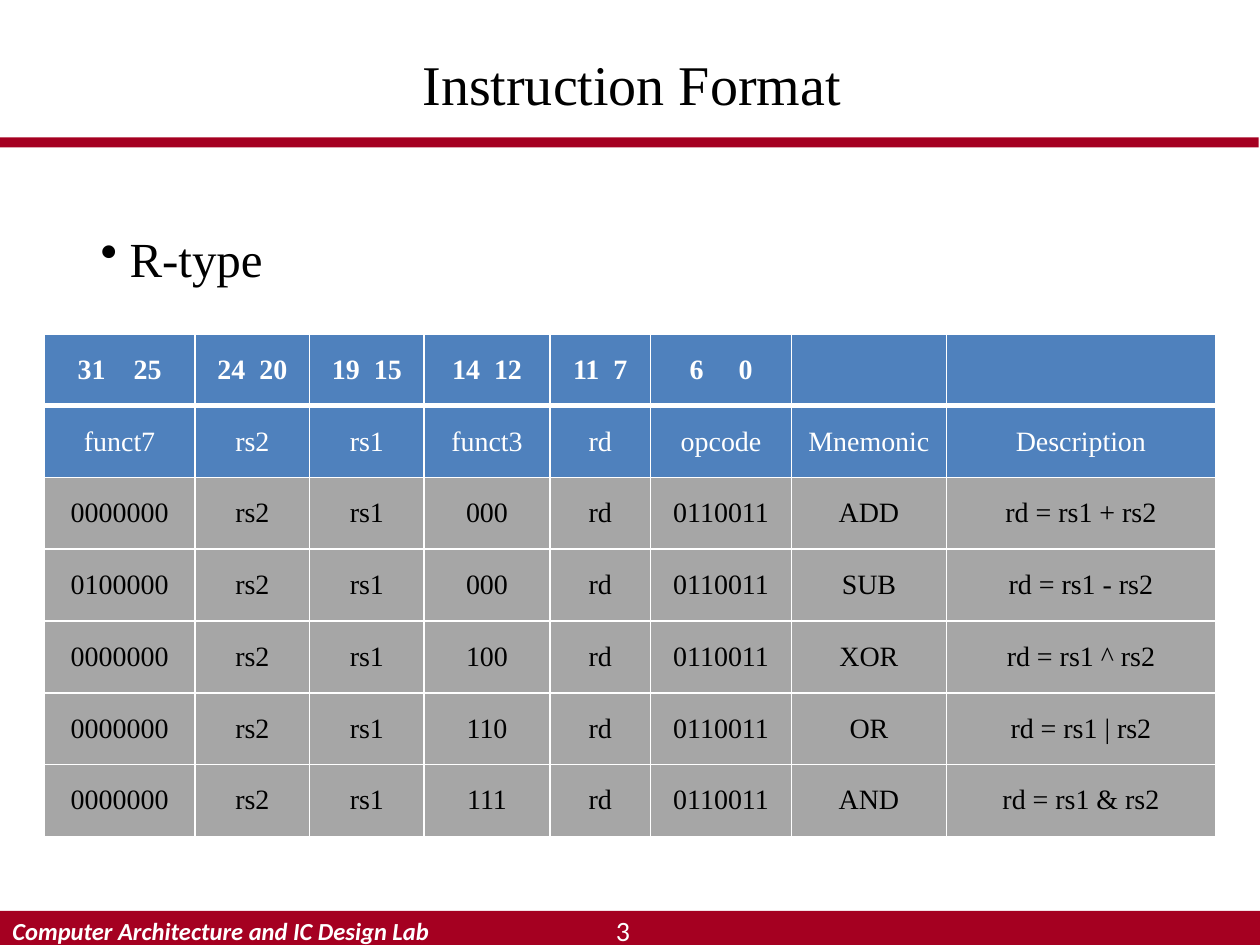
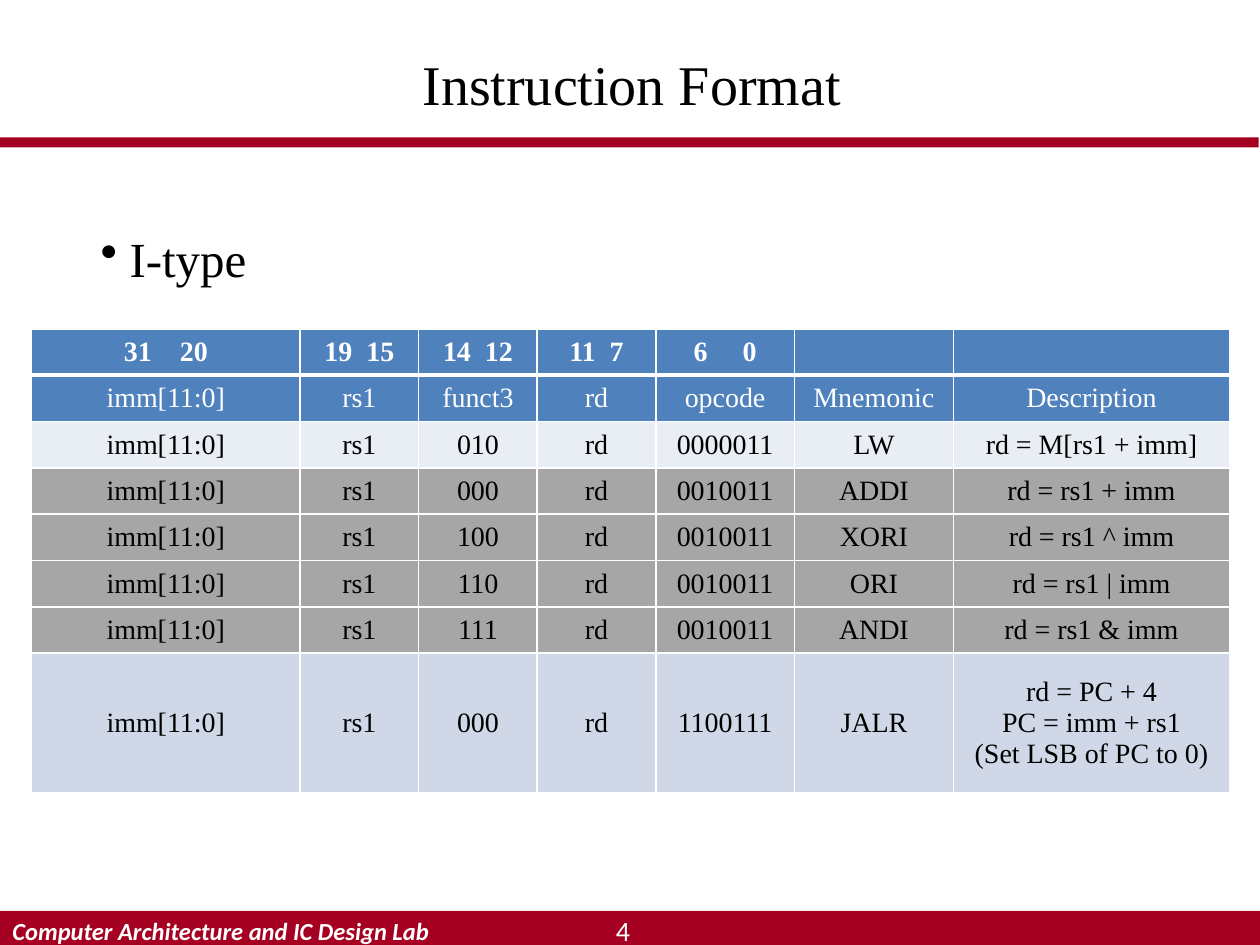
from dataclasses import dataclass

from lxml.etree import SubElement
from pptx import Presentation
from pptx.dml.color import RGBColor
from pptx.enum.shapes import MSO_SHAPE
from pptx.enum.text import MSO_ANCHOR, PP_ALIGN
from pptx.oxml.ns import qn
from pptx.util import Inches, Pt

COLUMNS, ROWS = 100, 75
CELL = Inches(0.1)
COLORS = {
    "crimson": "A50021",
    "blue": "4F81BD",
    "gray": "A6A6A6",
    "pale": "E9EDF4",
    "mist": "D0D8E8",
    "white": "FFFFFF",
    "black": "000000",
}
SERIF, SANS = "Times New Roman", "Calibri"
FORMATS = {
    "title": {"name": SERIF, "size": Pt(32)},
    "bullet": {"name": SERIF, "size": Pt(28)},
    "lab": {"name": SANS, "size": Pt(14), "bold": True, "italic": True},
    "number": {"name": SANS, "size": Pt(16)},
    "bits": {"name": SERIF, "size": Pt(16), "bold": True},
    "cell": {"name": SERIF, "size": Pt(16), "bold": False},
}
CELL_FORMAT = {
    "margin_left": Inches(0.07),
    "margin_right": Inches(0.07),
    "margin_top": 0,
    "margin_bottom": 0,
    "vertical_anchor": MSO_ANCHOR.MIDDLE,
}
SPACE_WIDTH = 4  # points, for one 16 pt space


@dataclass
class Box:
    """A region measured in grid columns and rows."""
    left: float
    top: float
    width: float
    height: float

    def inside(self, left, top, width, height):
        return Box(self.left + left, self.top + top, width, height)

    def lengths(self):
        values = (self.left, self.top, self.width, self.height)
        return [round(value * CELL) for value in values]


HEADER = Box(0, 0, COLUMNS, 11.7)
FOOTER = Box(0, 72.3, COLUMNS, 2.8)


@dataclass
class FormatSlide:
    number: int
    heading: str
    heading_width: float
    table_box: Box
    column_weights: list
    row_weights: list
    bit_ranges: list
    fields: list
    instructions: list


def set_values(target, values):
    for name, value in values.items():
        setattr(target, name, value)


def rgb(color):
    return RGBColor.from_string(COLORS[color])


def add_run(paragraph, text, style, color):
    run = paragraph.add_run()
    run.text = text
    set_values(run.font, FORMATS[style])
    run.font.color.rgb = rgb(color)
    return run


def add_band(slide, box):
    band = slide.shapes.add_shape(MSO_SHAPE.RECTANGLE, *box.lengths())
    band.shadow.inherit = False
    band.fill.solid()
    band.fill.fore_color.rgb = rgb("crimson")
    band.line.fill.background()


def add_label(slide, box, text, style, color, alignment=PP_ALIGN.LEFT):
    frame = slide.shapes.add_textbox(*box.lengths()).text_frame
    set_values(frame, {"word_wrap": True, "vertical_anchor": MSO_ANCHOR.MIDDLE})
    paragraph = frame.paragraphs[0]
    paragraph.alignment = alignment
    add_run(paragraph, text, style, color)
    return frame


def add_header(slide, box, title):
    add_band(slide, box.inside(0, 10.9, 99.9, 0.8))
    add_label(slide, box.inside(5, 2.3, 90.3, 8.6), title, "title", "black",
              PP_ALIGN.CENTER)


def add_footer(slide, box, number):
    add_band(slide, box)
    add_label(slide, box.inside(0, 0, 39.1, 3.1),
              "Computer Architecture and IC Design Lab", "lab", "white")
    add_label(slide, box.inside(39.6, 0.4, 19.7, 2.3), str(number), "number",
              "white", PP_ALIGN.CENTER)


def add_bullet_heading(slide, box, text):
    frame = add_label(slide, box, text, "bullet", "black")
    frame.margin_right = 0
    properties = frame.paragraphs[0]._p.get_or_add_pPr()
    indent = Inches(0.23)
    properties.set("marL", str(indent))
    properties.set("indent", str(-indent))
    SubElement(properties, qn("a:buChar"), char="•")


def add_borders(cell, top, bottom):
    """Draw white cell edges; top and bottom are widths in points."""
    properties = cell._tc.get_or_add_tcPr()
    for edge, width in (("L", 1), ("R", 1), ("T", top), ("B", bottom)):
        line = SubElement(properties, qn(f"a:ln{edge}"), w=str(Pt(width)))
        fill = SubElement(line, qn("a:solidFill"))
        SubElement(fill, qn("a:srgbClr"), val=COLORS["white"])


def fill_bit_range(paragraph, bit_range):
    """Write the high and low bit with a gap given in space widths."""
    high, gap, low = bit_range
    add_run(paragraph, high, "bits", "white")
    space = add_run(paragraph, " ", "bits", "white")
    spacing = (gap - 1) * SPACE_WIDTH * 100
    space.font._element.set("spc", str(spacing))
    add_run(paragraph, low, "bits", "white")


def fill_cell(cell, content, text_color):
    if isinstance(content, tuple):
        fill_bit_range(cell.text_frame.paragraphs[0], content)
    elif content:
        for index, line in enumerate(content.split("\n")):
            frame = cell.text_frame
            paragraph = frame.add_paragraph() if index else frame.paragraphs[0]
            add_run(paragraph, line, "cell", text_color)
    for paragraph in cell.text_frame.paragraphs:
        paragraph.alignment = PP_ALIGN.CENTER


def share_out(tracks, attribute, total, weights):
    for track, weight in zip(tracks, weights):
        setattr(track, attribute, round(total * weight / sum(weights)))


def add_instruction_table(slide, box, content):
    fields = content.fields + ["Mnemonic", "Description"]
    rows = [("blue", content.bit_ranges + ["", ""]), ("blue", fields)]
    rows += content.instructions
    frame = slide.shapes.add_table(len(rows), len(fields), *box.lengths())
    table = frame.table
    set_values(table, {"first_row": False, "horz_banding": False})
    share_out(table.columns, "width", box.width * CELL, content.column_weights)
    share_out(table.rows, "height", box.height * CELL, content.row_weights)
    for row, (color, values) in enumerate(rows):
        text_color = "white" if color == "blue" else "black"
        for column, value in enumerate(values):
            cell = table.cell(row, column)
            set_values(cell, CELL_FORMAT)
            add_borders(cell, 3 if row == 1 else 1, 3 if row == 0 else 1)
            cell.fill.solid()
            cell.fill.fore_color.rgb = rgb(color)
            fill_cell(cell, value, text_color)


def add_format_slide(presentation, content):
    slide = presentation.slides.add_slide(presentation.slide_layouts[6])
    add_header(slide, HEADER, "Instruction Format")
    add_footer(slide, FOOTER, content.number)
    add_bullet_heading(slide, Box(7, 17.6, content.heading_width, 5.7),
                       content.heading)
    add_instruction_table(slide, content.table_box, content)


def register_row(funct7, funct3, mnemonic, operator):
    return ("gray", [funct7, "rs2", "rs1", funct3, "rd", "0110011", mnemonic,
                     f"rd = rs1 {operator} rs2"])


def immediate_row(color, funct3, opcode, mnemonic, description):
    return (color, ["imm[11:0]", "rs1", funct3, "rd", opcode, mnemonic,
                    description])


LOW_BITS = [("19", 2, "15"), ("14", 2, "12"), ("11", 2, "7"), ("6", 5, "0")]
LOW_FIELDS = ["rs1", "funct3", "rd", "opcode"]

R_TYPE = FormatSlide(
    number=3,
    heading="R-type",
    heading_width=15,
    table_box=Box(3.5, 26.5, 93, 39.9),
    column_weights=[12, 9.1, 9.1, 10, 8, 11.2, 12.3, 21.4],
    row_weights=[1] * 7,
    bit_ranges=[("31", 4, "25"), ("24", 2, "20")] + LOW_BITS,
    fields=["funct7", "rs2"] + LOW_FIELDS,
    instructions=[
        register_row("0000000", "000", "ADD", "+"),
        register_row("0100000", "000", "SUB", "-"),
        register_row("0000000", "100", "XOR", "^"),
        register_row("0000000", "110", "OR", "|"),
        register_row("0000000", "111", "AND", "&"),
    ],
)

I_TYPE = FormatSlide(
    number=4,
    heading="I-type",
    heading_width=13.7,
    table_box=Box(2.5, 26.1, 95.1, 36.8),
    column_weights=[21.3, 9.4, 9.4, 9.4, 11, 12.6, 21.9],
    row_weights=[1] * 7 + [3],
    bit_ranges=[("31", 4, "20")] + LOW_BITS,
    fields=["imm[11:0]"] + LOW_FIELDS,
    instructions=[
        immediate_row("pale", "010", "0000011", "LW", "rd = M[rs1 + imm]"),
        immediate_row("gray", "000", "0010011", "ADDI", "rd = rs1 + imm"),
        immediate_row("gray", "100", "0010011", "XORI", "rd = rs1 ^ imm"),
        immediate_row("gray", "110", "0010011", "ORI", "rd = rs1 | imm"),
        immediate_row("gray", "111", "0010011", "ANDI", "rd = rs1 & imm"),
        immediate_row("mist", "000", "1100111", "JALR",
                      "rd = PC + 4\nPC = imm + rs1\n(Set LSB of PC to 0)"),
    ],
)


def main():
    presentation = Presentation()
    set_values(presentation, {"slide_width": COLUMNS * CELL,
                              "slide_height": ROWS * CELL})
    for content in (R_TYPE, I_TYPE):
        add_format_slide(presentation, content)
    presentation.save("out.pptx")


if __name__ == "__main__":
    main()
